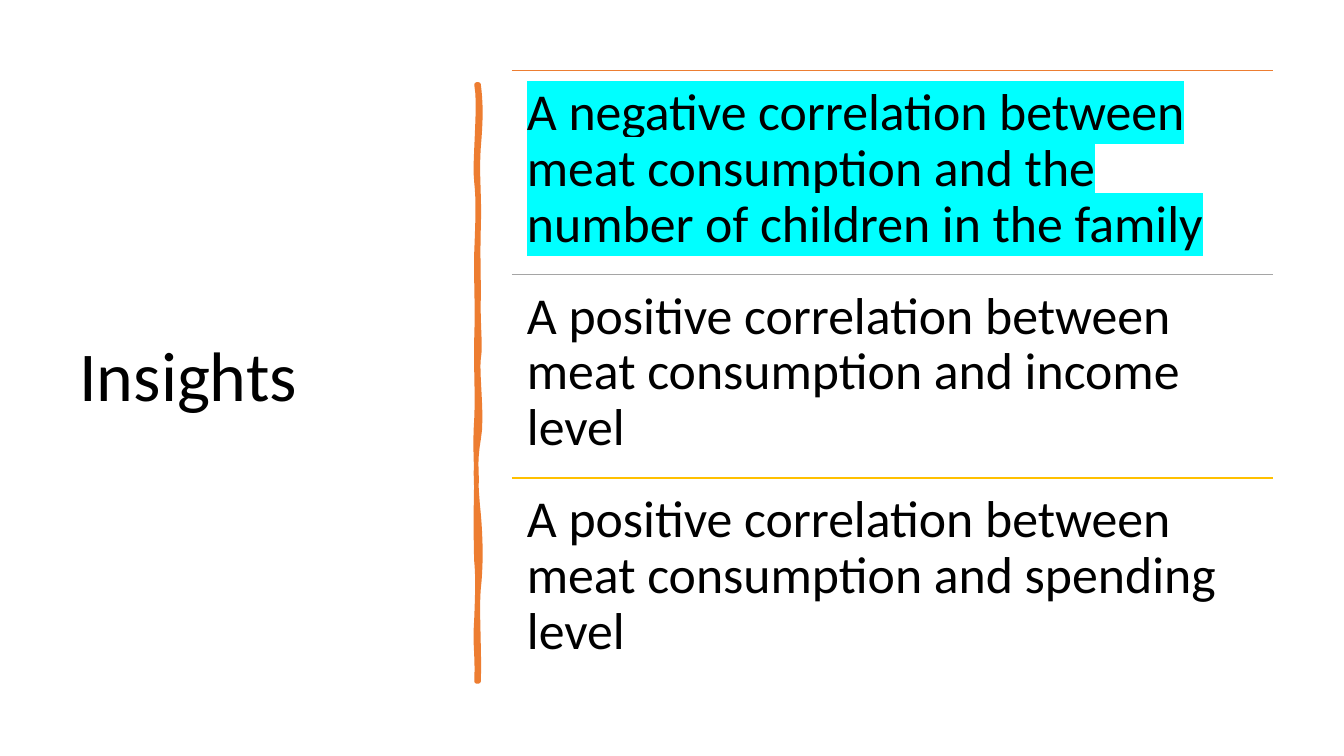
from pptx import Presentation
from pptx.dml.color import RGBColor as Rgb
from pptx.enum.shapes import MSO_CONNECTOR as Link
from pptx.enum.text import MSO_ANCHOR as Anchor
from pptx.oxml.ns import qn
from pptx.util import Cm, Pt
from lxml.etree import SubElement as Sub

ORANGE, GREY, GOLD, CYAN, BLACK = "ED7D31", "A5A5A5", "FFC000", "00FFFF", "000000"
TOP, FOOT = 2.13, 17.17
RIGHT, LEFT = 12.06, 12.01

DOWN = [(12.12, 2.59, 12.12, 3.02, 3.71), (12.01, 4.39, 12.09, 4.95, 5.74),
        (12.04, 6.53, 12.06, 6.65, 7.47), (12.04, 8.26, 12.12, 8.69, 9.04),
        (12.01, 9.4, 12.17, 10.52, 11.07), (11.96, 11.61, 11.99, 12.29, 12.95),
        (12.12, 13.61, 12.12, 14.33, 14.83), (12.01, 15.32, 12.09, 16.51, FOOT)]
UP = [(12.04, 16.41, 11.96, 16.36, 15.57), (12.04, 14.81, 12.04, 14.48, 14.15),
      (11.99, 13.82, 11.99, 12.57, 12.12), (12.01, 11.66, 11.96, 11.3, 10.54),
      (12.04, 9.8, 11.99, 9.47, 8.51), (12.04, 7.57, 11.99, 7.14, 6.35),
      (12.04, 5.54, 12.06, 5.08, 4.6), (11.94, 4.14, 12.12, 2.64, TOP)]

INSIGHTS = [
    ("A negative correlation between meat consumption and the number of children in the family",
     ORANGE, CYAN),
    ("A positive correlation between meat consumption and income level", GREY, None),
    ("A positive correlation between meat consumption and spending level", GOLD, None),
]


def shade(code):
    return Rgb.from_string(code)


def trace(side, start, curves, steps=8):
    points = []
    for x1, y1, x2, y2, end in curves:
        for step in range(1, steps + 1):
            t = step / steps
            u = 1 - t
            a, b, c, d = u ** 3, 3 * u * u * t, 3 * u * t * t, t ** 3
            points.append((Cm((a + d) * side + b * x1 + c * x2),
                           Cm(a * start + b * y1 + c * y2 + d * end)))
        start = end
    return points


class Board:
    """Draws styled elements on the current slide."""

    font = "Calibri"

    def __init__(self, deck):
        self.slide = deck.slides.add_slide(deck.slide_layouts[6])
        self.shapes = self.slide.shapes

    def text(self, words, x, y, w, h, size, pad=None, anchor=Anchor.TOP, mark=None):
        frame = self.shapes.add_textbox(Cm(x), Cm(y), Cm(w), Cm(h)).text_frame
        frame.word_wrap = True
        frame.vertical_anchor = anchor
        if pad:
            frame.margin_left = frame.margin_right = Cm(pad)
            frame.margin_top = frame.margin_bottom = Cm(pad)
        para = frame.paragraphs[0]
        para.line_spacing = 0.9
        para.font.name, para.font.size = self.font, Pt(size)
        para.font.color.rgb = shade(BLACK)
        run = para.add_run()
        run.text = words
        if mark:
            light = Sub(run._r.get_or_add_rPr(), qn("a:highlight"))
            Sub(light, qn("a:srgbClr"), val=mark)

    def rule(self, x, y, w, color):
        line = self.shapes.add_connector(Link.STRAIGHT, Cm(x), Cm(y), Cm(x + w), Cm(y))
        line.line.color.rgb = shade(color)
        line.line.width = Pt(1)
        Sub(line._element.spPr, qn("a:effectLst"))

    def stroke(self, color, width):
        pen = self.shapes.build_freeform(Cm(RIGHT), Cm(TOP))
        pen.add_line_segments(trace(RIGHT, TOP, DOWN), close=False)
        pen.add_line_segments([(Cm(LEFT), Cm(FOOT))] + trace(LEFT, FOOT, UP))
        shape = pen.convert_to_shape()
        shape.shadow.inherit = False
        shape.fill.solid()
        shape.fill.fore_color.rgb = shade(color)
        shape.line.color.rgb = shade(color)
        shape.line.width = Pt(width)


def main():
    deck = Presentation()
    deck.slide_width, deck.slide_height = Cm(33.87), Cm(19.05)
    board = Board(deck)
    board.text("Insights", 1.75, 1.78, 9.5, 15.52, 50, anchor=Anchor.MIDDLE)
    board.stroke(ORANGE, 3.25)
    x, top, width, step = 12.9, 1.78, 19.18, 5.13
    for row, (words, color, mark) in enumerate(INSIGHTS):
        y = top + row * step
        board.rule(x, y, width, color)
        board.text(words, x, y, width, step, 37, pad=0.38, mark=mark)
    deck.save("out.pptx")


if __name__ == "__main__":
    main()
